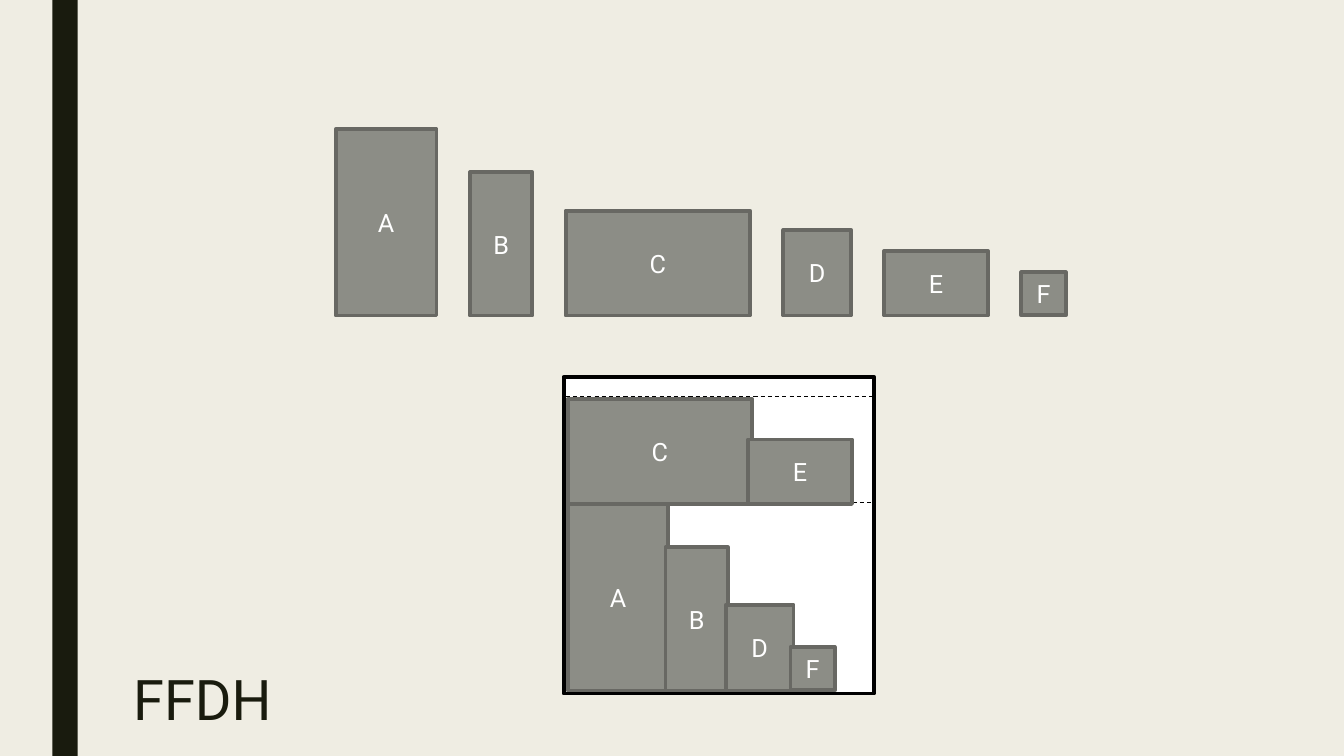
from lxml import etree
from pptx import Presentation
from pptx.dml.color import RGBColor
from pptx.enum.dml import MSO_LINE
from pptx.enum.shapes import MSO_CONNECTOR, MSO_SHAPE
from pptx.enum.text import MSO_ANCHOR, PP_ALIGN
from pptx.oxml.ns import qn
from pptx.util import Inches, Pt


def rgb(value):
    """Turn a hex string into a colour."""
    return RGBColor.from_string(value)


class PackingSlide:
    """The style and the current slide."""

    FONT = "Roboto"
    PAPER, INK = "EFEDE3", "191B0E"
    ITEM_FILL, ITEM_EDGE = "8C8D86", "686863"
    WHITE, BLACK = "FFFFFF", "000000"
    EDGE_WIDTH = 2.75

    def __init__(self, presentation):
        """Add a title-only slide with the paper background."""
        self.slide = presentation.slides.add_slide(presentation.slide_layouts[5])
        background = self.slide.background.fill
        background.solid()
        background.fore_color.rgb = rgb(self.PAPER)

    def label(self, frame, text, size, color, align, anchor):
        """Put one formatted line of text in a frame."""
        frame.word_wrap = True
        frame.vertical_anchor = anchor
        paragraph = frame.paragraphs[0]
        paragraph.alignment = align
        run = paragraph.add_run()
        run.text = text
        run.font.name = self.FONT
        run.font.size = Pt(size)
        run.font.color.rgb = rgb(color)
        return paragraph

    def title(self, text, left, top, width, height):
        """Place and format the title placeholder."""
        title = self.slide.shapes.title
        title.left, title.top = Inches(left), Inches(top)
        title.width, title.height = Inches(width), Inches(height)
        paragraph = self.label(title.text_frame, text, 40, self.INK,
                               PP_ALIGN.LEFT, MSO_ANCHOR.TOP)
        paragraph.line_spacing = 0.89

    def box(self, left, top, width, height, fill, edge=None):
        """Draw a rectangle, outlined if an edge colour is given."""
        shape = self.slide.shapes.add_shape(
            MSO_SHAPE.RECTANGLE, Inches(left), Inches(top),
            Inches(width), Inches(height))
        shape.shadow.inherit = False
        shape.fill.solid()
        shape.fill.fore_color.rgb = rgb(fill)
        if edge:
            shape.line.color.rgb = rgb(edge)
            shape.line.width = Pt(self.EDGE_WIDTH)
        else:
            shape.line.fill.background()
        return shape

    def item(self, name, left, bottom):
        """Stand a labelled item on its bottom edge."""
        width, height = ITEM_SIZES[name]
        shape = self.box(left, bottom - height, width, height,
                         self.ITEM_FILL, self.ITEM_EDGE)
        self.label(shape.text_frame, name, 18, self.WHITE,
                   PP_ALIGN.CENTER, MSO_ANCHOR.MIDDLE)

    def level(self, left, y, width):
        """Draw a dashed level line."""
        line = self.slide.shapes.add_connector(
            MSO_CONNECTOR.STRAIGHT, Inches(left), Inches(y),
            Inches(left + width), Inches(y))
        line.line.color.rgb = rgb(self.BLACK)
        line.line.width = Pt(0.75)
        line.line.dash_style = MSO_LINE.DASH
        etree.SubElement(line._element.spPr, qn("a:effectLst"))


ITEM_SIZES = {"A": (1, 1.85), "B": (0.62, 1.42), "C": (1.83, 1.04),
              "D": (0.67, 0.85), "E": (1.03, 0.64), "F": (0.44, 0.43)}
ROW_BOTTOM, ROW_GAP = 3.13, 0.33
BIN_LEFT, BIN_TOP, BIN_WIDTH, BIN_HEIGHT = 5.59, 3.74, 3.08, 3.14
FLOOR, SHELF = 6.85, 5

presentation = Presentation()
presentation.slide_width, presentation.slide_height = Inches(13.33), Inches(7.5)
page = PackingSlide(presentation)
page.box(0.52, 0, 0.25, 7.5, page.INK)
page.title("FFDH", 1.22, 6.62, 9.82, 0.8)

# Items sorted by decreasing height
left = 3.33
for name, (width, _) in ITEM_SIZES.items():
    page.item(name, left, ROW_BOTTOM)
    left += width + ROW_GAP

# The bin, packed level by level
page.box(BIN_LEFT, BIN_TOP, BIN_WIDTH, BIN_HEIGHT, page.WHITE, page.BLACK)
page.item("A", 5.63, FLOOR)
page.level(BIN_LEFT, SHELF - 0.01, BIN_WIDTH)
for name, left, bottom in [("B", 6.6, FLOOR), ("C", 5.63, SHELF),
                           ("D", 7.2, FLOOR), ("E", 7.42, SHELF)]:
    page.item(name, left, bottom)
page.level(BIN_LEFT + 0.02, 3.93, BIN_WIDTH)
page.item("F", 7.84, FLOOR)

presentation.save("out.pptx")
